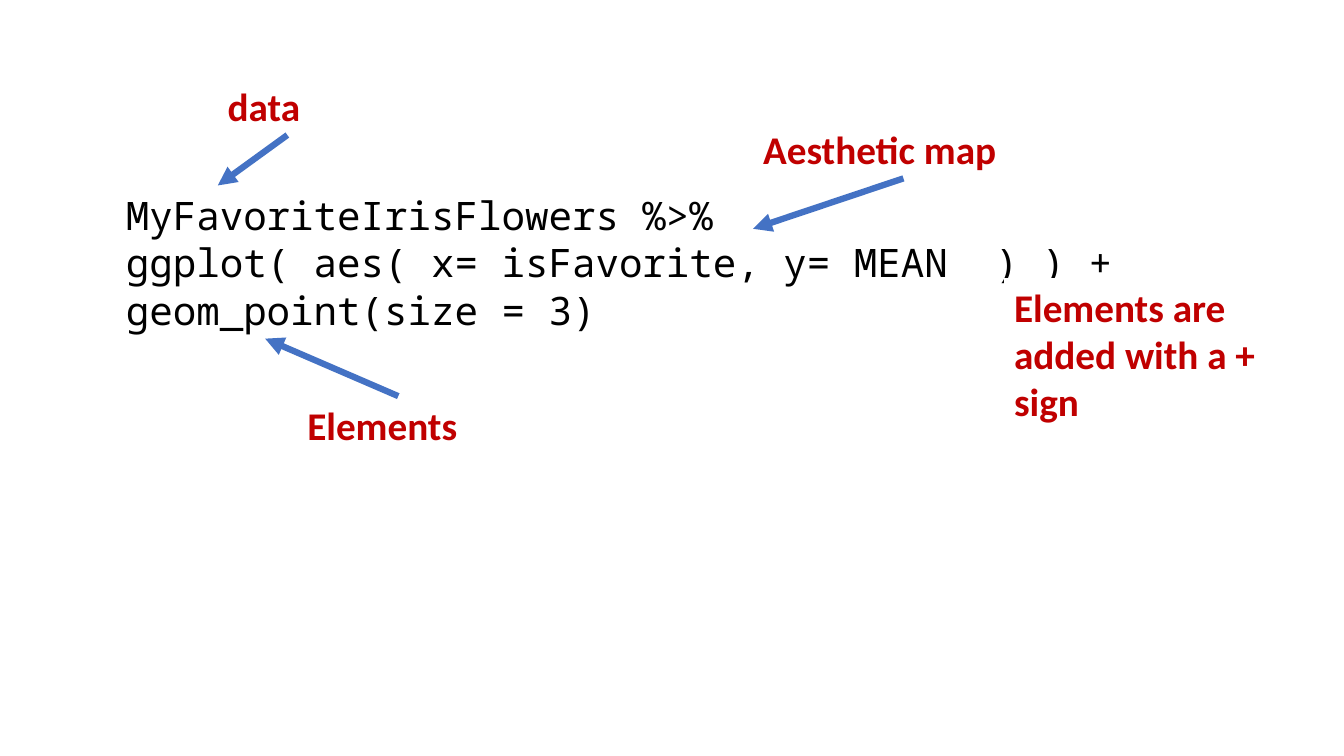
from lxml import etree
from pptx import Presentation
from pptx.dml.color import RGBColor
from pptx.enum.shapes import MSO_CONNECTOR
from pptx.enum.text import MSO_ANCHOR
from pptx.oxml.ns import qn
from pptx.util import Inches, Pt

STRAIGHT = MSO_CONNECTOR.STRAIGHT
TOP = MSO_ANCHOR.TOP
WHITE, BLACK, RED, BLUE = "FFFFFF", "000000", "C00000", "4472C4"
CODE_FONT = {"name": "Noto Sans Mono", "size": Pt(28)}
LABEL_FONT = {"name": "Calibri", "size": Pt(28), "bold": True}
CODE_SPACING = {"line_spacing": Pt(34)}

CODE_LINES = [
    "MyFavoriteIrisFlowers %>%",
    "ggplot( aes( x= isFavorite, y= MEAN  ) ) +",
    "geom_point(size = 3)",
]
LABELS = [
    ("data", (2.16, 0.77, 1.38, 0.57)),
    ("Aesthetic map", (7.47, 1.19, 2.99, 0.57)),
    ("Elements", (2.95, 3.93, 2, 0.57)),
    ("Elements are added with a + sign", (9.96, 2.76, 2.66, 1.51)),
]
ARROWS = [
    ((2.85, 1.34), (2.16, 1.84)),
    ((8.96, 1.77), (7.47, 2.27)),
    ((3.95, 3.93), (2.63, 3.36)),
]


def rgb(value):
    """Turn a hex string into a colour."""
    return RGBColor.from_string(value)


def apply_format(target, values):
    """Set each attribute named in a dict of format values."""
    for name, value in values.items():
        setattr(target, name, value)


def add_text(slide, lines, place, font, color, spacing):
    """Add a white text box with one paragraph for each line."""
    box = slide.shapes.add_textbox(*map(Inches, place))
    box.fill.solid()
    box.fill.fore_color.rgb = rgb(WHITE)
    frame = box.text_frame
    apply_format(frame, {"word_wrap": True, "vertical_anchor": TOP})
    frame.text = "\n".join(lines)
    for para in frame.paragraphs:
        apply_format(para, spacing)
        for span in para.runs:
            apply_format(span.font, font)
            span.font.color.rgb = rgb(color)


def add_arrow(slide, start, end):
    """Add a thick blue line with an arrowhead at its end."""
    arrow = slide.shapes.add_connector(STRAIGHT, *map(Inches, start + end))
    arrow.line.width = Pt(4.5)
    arrow.line.color.rgb = rgb(BLUE)
    properties = arrow._element.spPr
    etree.SubElement(properties.find(qn("a:ln")), qn("a:tailEnd"), type="triangle")
    etree.SubElement(properties, qn("a:effectLst"))


def main():
    """Build the annotated code slide and save it."""
    deck = Presentation()
    apply_format(deck, {"slide_width": Inches(13.33), "slide_height": Inches(7.5)})
    slide = deck.slides.add_slide(deck.slide_layouts[6])
    add_text(slide, CODE_LINES, (1.15, 1.84, 10.14, 1.51), CODE_FONT, BLACK, CODE_SPACING)
    for label, place in LABELS:
        add_text(slide, [label], place, LABEL_FONT, RED, {})
    for start, end in ARROWS:
        add_arrow(slide, start, end)
    deck.save("out.pptx")


main()
